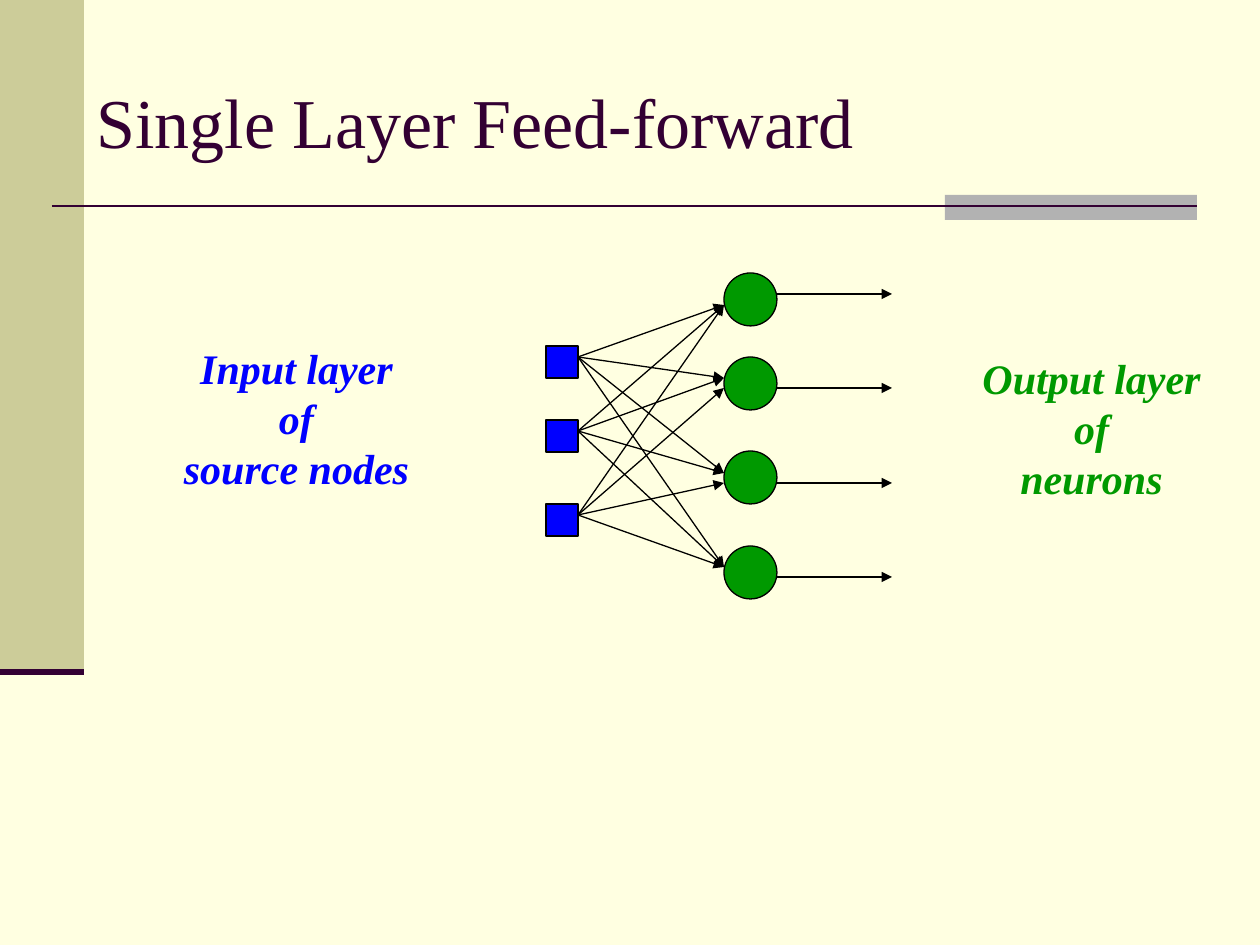
"""Build the slide on a single-layer feed-forward network."""
from lxml import etree
from pptx import Presentation
from pptx.dml.color import RGBColor
from pptx.enum.shapes import MSO_CONNECTOR, MSO_SHAPE
from pptx.enum.text import MSO_ANCHOR, PP_ALIGN
from pptx.oxml.ns import qn
from pptx.util import Pt

LINE = MSO_CONNECTOR.STRAIGHT
RECT, OVAL = MSO_SHAPE.RECTANGLE, MSO_SHAPE.OVAL
MIDDLE, TOP = MSO_ANCHOR.MIDDLE, MSO_ANCHOR.TOP
LEFT, CENTER = PP_ALIGN.LEFT, PP_ALIGN.CENTER

CREAM = RGBColor(0xFF, 0xFF, 0xE1)
KHAKI = RGBColor(0xCC, 0xCC, 0x99)
GRAY = RGBColor(0xB2, 0xB2, 0xB2)
PLUM = RGBColor(0x33, 0x00, 0x33)
BLUE = RGBColor(0x00, 0x00, 0xFF)
GREEN = RGBColor(0x00, 0x99, 0x00)
BLACK = RGBColor(0x00, 0x00, 0x00)

FONT = "Times New Roman"
SCALE = 914400 / 126

TITLE = ["Single Layer Feed-forward"]
LABELS = [
    (["Input layer", "of", "source nodes"], (147, 336, 299, 164), BLUE),
    (["Output layer", "of", "neurons"], (955, 346, 273, 164), GREEN),
]
BARS = [((0, 0, 84, 672), KHAKI), ((945, 195, 252, 25), GRAY)]
RULES = [((52, 206), (1197, 206), 1.5), ((0, 672), (84, 672), 3.5)]

NODE_X, NODE_SIZE, PORT = 546, 32, 11
NODES = [346, 420, 504]
CELL_X, CELL_SIZE = 724, 53
CELLS = [273, 357, 451, 546]
ENDS = [
    [305, 378, 473, 567],
    [305, 378, 473, 567],
    [305, 388, 483, 567],
]
EXITS = [294, 388, 483, 577]
EXIT_X = 892


def px(*vals):
    return [round(val * SCALE) for val in vals]


def add_block(slide, kind, box, fill, edge=None):
    shape = slide.shapes.add_shape(kind, *px(*box))
    shape.shadow.inherit = False
    shape.fill.solid()
    shape.fill.fore_color.rgb = fill
    if edge is None:
        shape.line.fill.background()
    else:
        shape.line.color.rgb = edge
        shape.line.width = Pt(0.75)


def add_line(slide, start, end, color=BLACK, width=0.75, arrow=True):
    line = slide.shapes.add_connector(LINE, *px(*start, *end))
    line.line.color.rgb = color
    line.line.width = Pt(width)
    if arrow:
        etree.SubElement(line.line._get_or_add_ln(), qn("a:tailEnd"), type="triangle")
    etree.SubElement(line._element.spPr, qn("a:effectLst"))


def add_text(slide, rows, box, color, size, align, anchor, wrap, strong):
    frame = slide.shapes.add_textbox(*px(*box)).text_frame
    frame.word_wrap = wrap
    frame.vertical_anchor = anchor
    for i, row in enumerate(rows):
        para = frame.add_paragraph() if i else frame.paragraphs[0]
        para.alignment = align
        run = para.add_run()
        run.text = row
        font = run.font
        font.name, font.size = FONT, Pt(size)
        font.bold = font.italic = strong
        font.color.rgb = color


def main():
    prs = Presentation()
    prs.slide_width, prs.slide_height = px(1260, 945)
    slide = prs.slides.add_slide(prs.slide_layouts[6])
    slide.background.fill.solid()
    slide.background.fill.fore_color.rgb = CREAM

    for box, fill in BARS:
        add_block(slide, RECT, box, fill)
    for start, end, width in RULES:
        add_line(slide, start, end, PLUM, width, False)
    add_text(slide, TITLE, (84, 53, 1071, 136), PLUM, 40, LEFT, MIDDLE, True, False)
    for rows, box, color in LABELS:
        add_text(slide, rows, box, color, 24, CENTER, TOP, False, True)

    for top in CELLS:
        add_block(slide, OVAL, (CELL_X, top, CELL_SIZE, CELL_SIZE), GREEN, BLACK)
    for top, ends in zip(NODES, ENDS):
        add_block(slide, RECT, (NODE_X, top, NODE_SIZE, NODE_SIZE), BLUE, BLACK)
        for end in ends:
            add_line(slide, (NODE_X + NODE_SIZE, top + PORT), (CELL_X, end))
    for y in EXITS:
        add_line(slide, (CELL_X + CELL_SIZE, y), (EXIT_X, y))
    prs.save("out.pptx")


if __name__ == "__main__":
    main()
